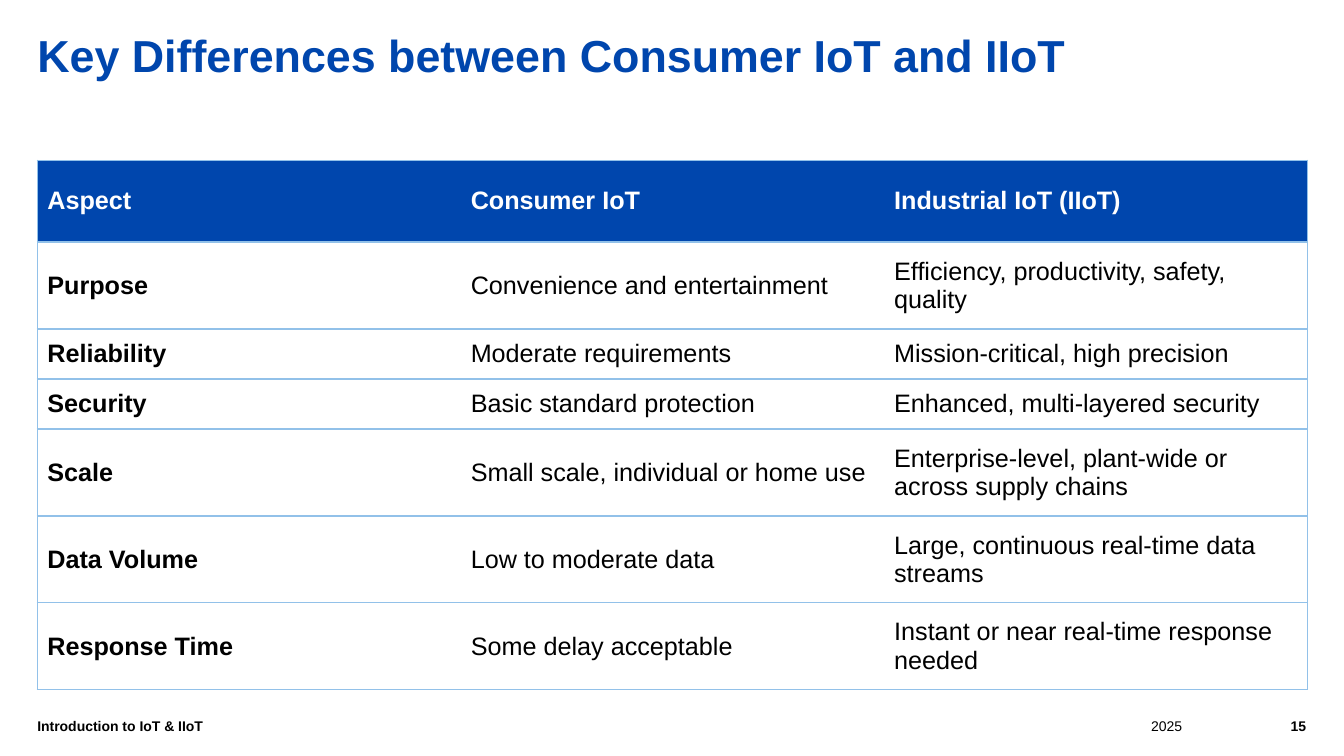
from lxml import etree
from pptx import Presentation
from pptx.dml.color import RGBColor
from pptx.enum.text import MSO_ANCHOR, MSO_AUTO_SIZE, PP_ALIGN
from pptx.oxml.ns import qn
from pptx.util import Cm, Pt

TOP, MIDDLE = MSO_ANCHOR.TOP, MSO_ANCHOR.MIDDLE
LEFT, RIGHT = PP_ALIGN.LEFT, PP_ALIGN.RIGHT
NO_AUTOFIT = MSO_AUTO_SIZE.NONE
TITLE_ONLY = 5

FONT = "Arial"
BLUE, PALE_BLUE, WHITE, BLACK = "0046AD", "92C1E9", "FFFFFF", "000000"

MARGIN = 0.94
COLUMN_WIDTH = 10.67
HEADER_HEIGHT, TALL_ROW, SHORT_ROW = 2.06, 2.19, 1.26
FOOTER_TOP, FOOTER_HEIGHT = 18.08, 0.97

HEADINGS = ("Aspect", "Consumer IoT", "Industrial IoT (IIoT)")
DIFFERENCES = [
    (TALL_ROW, "Purpose", "Convenience and entertainment",
     "Efficiency, productivity, safety, quality"),
    (SHORT_ROW, "Reliability", "Moderate requirements",
     "Mission-critical, high precision"),
    (SHORT_ROW, "Security", "Basic standard protection",
     "Enhanced, multi-layered security"),
    (TALL_ROW, "Scale", "Small scale, individual or home use",
     "Enterprise-level, plant-wide or across supply chains"),
    (TALL_ROW, "Data Volume", "Low to moderate data",
     "Large, continuous real-time data streams"),
    (TALL_ROW, "Response Time", "Some delay acceptable",
     "Instant or near real-time response needed"),
]


def rgb(color):
    return RGBColor.from_string(color)


def add_run(paragraph, text, size, color, bold=False):
    run = paragraph.add_run()
    run.text = text
    run.font.name = FONT
    run.font.size = Pt(size)
    run.font.bold = bold
    run.font.color.rgb = rgb(color)


def set_frame(frame):
    frame.margin_left = frame.margin_right = 0
    frame.margin_top = frame.margin_bottom = 0
    frame.word_wrap = True
    frame.auto_size = NO_AUTOFIT
    frame.vertical_anchor = TOP


def add_title(slide, text):
    title = slide.shapes.title
    title.left, title.top = Cm(MARGIN), Cm(0.69)
    title.width, title.height = Cm(29.31), Cm(2.46)
    set_frame(title.text_frame)
    paragraph = title.text_frame.paragraphs[0]
    paragraph.alignment = LEFT
    add_run(paragraph, text, 32, BLUE, bold=True)


def set_border(cell, side, color=None):
    """Draw one side of a cell, or clear it when no colour is given."""
    line = etree.SubElement(cell._tc.get_or_add_tcPr(), qn(f"a:ln{side}"), w=str(Pt(1)))
    if color:
        fill = etree.SubElement(line, qn("a:solidFill"))
        etree.SubElement(fill, qn("a:srgbClr"), val=color)
    else:
        etree.SubElement(line, qn("a:noFill"))


def fill_cell(cell, text, fill, color, bold, outer_sides):
    for side in "LRTB":
        set_border(cell, side, PALE_BLUE if side in outer_sides else None)
    cell.fill.solid()
    cell.fill.fore_color.rgb = rgb(fill)
    cell.vertical_anchor = MIDDLE
    add_run(cell.text_frame.paragraphs[0], text, 18, color, bold)


def add_comparison(slide):
    rows = [(HEADER_HEIGHT, *HEADINGS), *DIFFERENCES]
    table_height = sum(row[0] for row in rows)
    comparison = slide.shapes.add_table(
        len(rows), len(HEADINGS), Cm(MARGIN), Cm(4.04),
        Cm(COLUMN_WIDTH * len(HEADINGS)), Cm(table_height)).table
    for column in comparison.columns:
        column.width = Cm(COLUMN_WIDTH)
    for r, (height, *texts) in enumerate(rows):
        comparison.rows[r].height = Cm(height)
        header = r == 0
        for c, (text, sides) in enumerate(zip(texts, ("LTB", "TB", "RTB"))):
            fill_cell(comparison.cell(r, c), text,
                      BLUE if header else WHITE,
                      WHITE if header else BLACK,
                      header or c == 0, sides)


def add_footer(slide, text, left, width, bold=False, align=LEFT):
    box = slide.shapes.add_textbox(
        Cm(left), Cm(FOOTER_TOP), Cm(width), Cm(FOOTER_HEIGHT))
    set_frame(box.text_frame)
    paragraph = box.text_frame.paragraphs[0]
    paragraph.alignment = align
    add_run(paragraph, text, 10, BLACK, bold)


def main():
    deck = Presentation()
    deck.slide_width, deck.slide_height = Cm(33.87), Cm(19.05)
    slide = deck.slides.add_slide(deck.slide_layouts[TITLE_ONLY])

    # Title and comparison table
    add_title(slide, "Key Differences between Consumer IoT and IIoT")
    add_comparison(slide)

    # Footer: year, lecture name, page number
    add_footer(slide, "2025", 29.01, 2.49)
    add_footer(slide, "Introduction to IoT & IIoT", MARGIN, 26.72, bold=True)
    add_footer(slide, "15", 31.7, 1.22, bold=True, align=RIGHT)

    deck.save("out.pptx")


if __name__ == "__main__":
    main()
